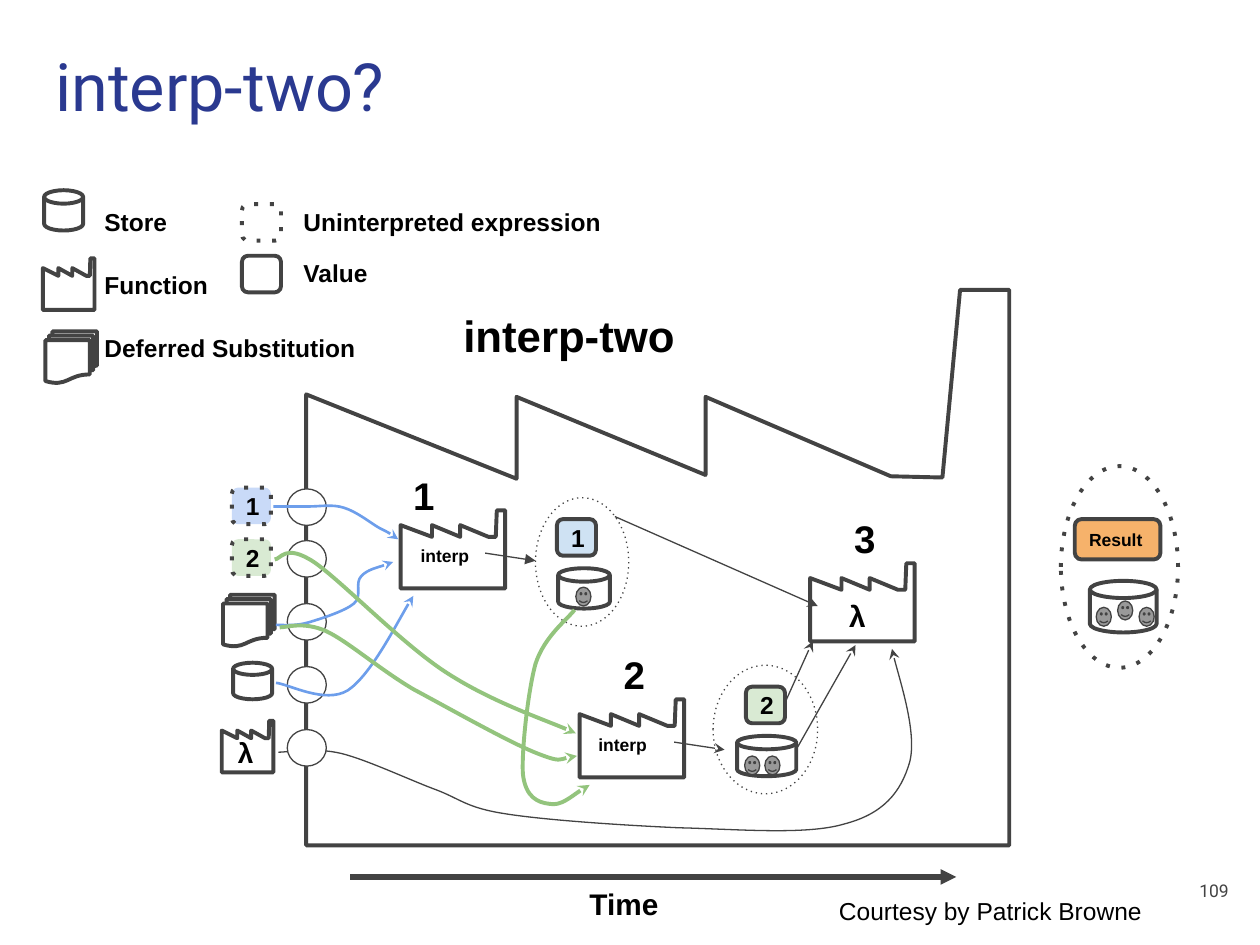
from lxml.etree import SubElement
from pptx import Presentation
from pptx.dml.color import RGBColor
from pptx.enum.shapes import MSO_CONNECTOR, MSO_SHAPE
from pptx.enum.text import MSO_ANCHOR, PP_ALIGN
from pptx.oxml.ns import qn
from pptx.util import Inches, Pt

INK, WHITE, GREY = "434343", "FFFFFF", "999999"
BLUE, GREEN = "6D9EEB", "93C47D"
DISK = MSO_SHAPE.FLOWCHART_MAGNETIC_DISK
BOX = MSO_SHAPE.FLOWCHART_ALTERNATE_PROCESS
PAPERS = MSO_SHAPE.FLOWCHART_MULTIDOCUMENT

FACTORY = [(0.92, 0), (1, 0), (1, 1), (0, 1), (0, 0.19), (0.3, 0.34),
           (0.3, 0.19), (0.57, 0.34), (0.57, 0.19), (0.84, 0.34), (0.91, 0.34)]
BIG_FACTORY = [(7.62, 2.3), (8.01, 2.3), (8.01, 6.71), (2.43, 6.71), (2.43, 3.13),
               (4.1, 3.8), (4.1, 3.15), (5.6, 3.77), (5.6, 3.15), (7.07, 3.78), (7.48, 3.79)]
SMALL_FACTORIES = [(0.34, 2.05, 0.41, 0.41), (1.76, 5.72, 0.41, 0.41),
                   (3.18, 4.05, 0.83, 0.62), (4.6, 5.55, 0.83, 0.62), (6.43, 4.47, 0.83, 0.62)]
PORT_TOPS = [3.88, 4.29, 4.79, 5.29, 5.79]

LAMBDA_FLOW = [(2.21, 5.97), (2.29, 5.97), (2.5, 5.93), (2.71, 5.98), (2.91, 6.03),
               (3.23, 6.18), (3.44, 6.26), (3.66, 6.34), (3.69, 6.41), (4.02, 6.46),
               (4.34, 6.51), (4.94, 6.55), (5.39, 6.57), (5.84, 6.58), (6.4, 6.63),
               (6.7, 6.54), (7.01, 6.46), (7.15, 6.29), (7.22, 6.05), (7.28, 5.82),
               (7.11, 5.3), (7.08, 5.15)]
INPUT_FLOWS = [
    (BLUE, 1.5, [(2.17, 4.02), (2.22, 4.02), (2.36, 4.02), (2.45, 4.02), (2.54, 4.02),
                 (2.64, 4), (2.73, 4.03), (2.83, 4.06), (2.94, 4.15), (3.01, 4.19),
                 (3.09, 4.23), (3.14, 4.26), (3.16, 4.28)]),
    (BLUE, 1.5, [(2.19, 4.96), (2.24, 4.96), (2.35, 4.97), (2.45, 4.94), (2.55, 4.91),
                 (2.74, 4.85), (2.81, 4.79), (2.88, 4.73), (2.81, 4.63), (2.87, 4.57),
                 (2.92, 4.52), (3.08, 4.48), (3.12, 4.46)]),
    (BLUE, 1.5, [(2.19, 5.42), (2.29, 5.43), (2.58, 5.59), (2.76, 5.48), (2.94, 5.36),
                 (3.2, 4.85), (3.28, 4.73)]),
    (GREEN, 2.25, [(2.18, 4.44), (2.23, 4.44), (2.26, 4.31), (2.49, 4.46), (2.71, 4.61),
                   (3.18, 5.1), (3.53, 5.33), (3.88, 5.56), (4.4, 5.74), (4.57, 5.82)]),
    (GREEN, 2.25, [(2.22, 4.98), (2.28, 4.98), (2.41, 4.93), (2.59, 5.01), (2.76, 5.09),
                   (3.01, 5.31), (3.28, 5.47), (3.56, 5.62), (4.02, 5.88), (4.24, 5.97),
                   (4.46, 6.06), (4.53, 6), (4.58, 6)]),
    (GREEN, 2.25, [(4.56, 4.84), (4.51, 4.91), (4.32, 5.05), (4.25, 5.27), (4.19, 5.49),
                   (4.14, 5.95), (4.15, 6.14), (4.17, 6.33), (4.27, 6.37), (4.36, 6.38),
                   (4.45, 6.4), (4.63, 6.25), (4.68, 6.23)]),
]
ARROWS = [
    ((3.85, 4.39), (4.25, 4.45), 0.75, "triangle"),
    ((5.35, 5.89), (5.75, 5.95), 0.75, "stealth"),
    ((4.88, 4.1), (6.49, 4.81), 0.75, "stealth"),
    ((6.22, 5.6), (6.45, 5.09), 0.75, "stealth"),
    ((6.33, 5.93), (6.79, 5.12), 0.75, "stealth"),
    ((2.78, 6.96), (7.59, 6.96), 3, "triangle"),
]
STORES = [(0.35, 1.51, 0.31, 0.32), (1.85, 5.26, 0.31, 0.29), (4.43, 4.51, 0.41, 0.32),
          (5.85, 5.84, 0.47, 0.32), (8.65, 4.61, 0.53, 0.41)]
SUBSTITUTIONS = [(0.36, 2.63, 0.41, 0.41), (1.77, 4.72, 0.41, 0.41)]
SMILEYS = [(4.57, 4.66), (6.07, 6), (5.91, 6), (8.87, 4.77), (8.7, 4.82), (9.04, 4.82)]
BUBBLES = [((4.25, 3.95, 0.74, 1.02), 0.75), ((5.66, 5.28, 0.83, 1.02), 0.75),
           ((8.42, 3.7, 0.93, 1.6), 2.25)]
EXPRESSIONS = [
    ("", (1.92, 1.62, 0.31, 0.29), WHITE, "dot", 14),
    ("", (1.92, 2.03, 0.31, 0.29), WHITE, None, 14),
    ("1", (1.84, 3.87, 0.31, 0.29), "C9DAF8", "dot", 14),
    ("2", (1.84, 4.28, 0.31, 0.29), "D9EAD3", "dot", 14),
    ("1", (4.42, 4.12, 0.31, 0.29), "CFE2F3", None, 14),
    ("2", (5.92, 5.45, 0.31, 0.29), "D9EAD3", None, 14),
    ("Result", (8.53, 4.12, 0.68, 0.32), "F6B26B", None, 10),
]
LABELS = [
    ("Store", (0.73, 1.54, 1.19, 0.29), 14),
    ("Function", (0.73, 2.04, 1.19, 0.29), 14),
    ("Deferred Substitution", (0.73, 2.54, 2.51, 0.29), 14),
    ("Uninterpreted expression", (2.31, 1.54, 3.53, 0.29), 14),
    ("Value", (2.31, 1.95, 2.51, 0.29), 14),
    ("λ", (1.79, 5.74, 0.31, 0.41), 16),
    ("interp", (3.24, 4.24, 0.61, 0.46), 10),
    ("interp", (4.65, 5.74, 0.61, 0.46), 10),
    ("λ", (6.64, 4.64, 0.45, 0.48), 17),
    ("1", (3.18, 3.65, 0.41, 0.57), 22),
    ("2", (4.85, 5.07, 0.41, 0.57), 22),
    ("3", (6.68, 3.99, 0.41, 0.57), 22),
    ("Time", (4.58, 6.93, 0.99, 0.5), 17),
]

deck = Presentation()
deck.slide_width, deck.slide_height = Inches(10), Inches(7.5)
shapes = deck.slides.add_slide(deck.slide_layouts[6]).shapes


def rgb(value):
    return RGBColor.from_string(value)


def outline(shape, color, width, dash=None, arrowhead=None):
    shape.line.color.rgb = rgb(color)
    shape.line.width = Pt(width)
    ln = shape._element.spPr.find(qn("a:ln"))
    if dash:
        SubElement(ln, qn("a:prstDash"), val=dash)
    if arrowhead:
        SubElement(ln, qn("a:tailEnd"), type=arrowhead)


def paint(shape, fill):
    shape.shadow.inherit = False
    if fill:
        shape.fill.solid()
        shape.fill.fore_color.rgb = rgb(fill)
    else:
        shape.fill.background()


def write(shape, text, size, bold=True, font="Arial", color="000000",
          align=PP_ALIGN.LEFT, anchor=MSO_ANCHOR.TOP):
    frame = shape.text_frame
    frame.text = text
    frame.word_wrap = True
    frame.vertical_anchor = anchor
    frame.margin_left = frame.margin_right = Inches(0.1)
    frame.margin_top = frame.margin_bottom = Inches(0.1)
    frame.paragraphs[0].alignment = align
    for run in frame.paragraphs[0].runs:
        run.font.size, run.font.bold, run.font.name = Pt(size), bold, font
        run.font.color.rgb = rgb(color)


def label(text, box, size, **style):
    write(shapes.add_textbox(*map(Inches, box)), text, size, **style)


def symbol(kind, box, fill=WHITE, width=2.25, dash=None):
    shape = shapes.add_shape(kind, *map(Inches, box))
    paint(shape, fill)
    outline(shape, INK, width, dash)
    return shape


def trace(points, close):
    start, *rest = [(Inches(x), Inches(y)) for x, y in points]
    builder = shapes.build_freeform(*start)
    builder.add_line_segments(rest, close=close)
    return builder.convert_to_shape()


def factory(points, fill):
    shape = trace(points, True)
    paint(shape, fill)
    outline(shape, INK, 2.25)


def flow(color, width, points):
    shape = trace(points, False)
    paint(shape, None)
    outline(shape, color, width, arrowhead="stealth")
    segments = list(shape._element.iter(qn("a:lnTo")))
    for i in range(0, len(segments), 3):
        curve = SubElement(segments[i].getparent(), qn("a:cubicBezTo"))
        for segment in segments[i:i + 3]:
            curve.append(segment[0])
            segment.getparent().remove(segment)


flow(INK, 0.75, LAMBDA_FLOW)
factory(BIG_FACTORY, None)
for top in PORT_TOPS:
    symbol(MSO_SHAPE.OVAL, (2.28, top, 0.31, 0.29), width=0.75)
for left, top, width, height in SMALL_FACTORIES:
    factory([(left + x * width, top + y * height) for x, y in FACTORY], WHITE)
for box in STORES:
    symbol(DISK, box)
for box in SUBSTITUTIONS:
    symbol(PAPERS, box)
for text, box, fill, dash, size in EXPRESSIONS:
    expression = symbol(BOX, box, fill, dash=dash)
    if text:
        write(expression, text, size, anchor=MSO_ANCHOR.MIDDLE)
for left, top in SMILEYS:
    symbol(MSO_SHAPE.SMILEY_FACE, (left, top, 0.12, 0.15), GREY, 0.75)
for box, width in BUBBLES:
    symbol(MSO_SHAPE.OVAL, box, None, width, "dot")
for color, width, points in INPUT_FLOWS:
    flow(color, width, points)
for start, end, width, arrowhead in ARROWS:
    arrow = shapes.add_connector(MSO_CONNECTOR.STRAIGHT, *map(Inches, start + end))
    outline(arrow, INK, width, arrowhead=arrowhead)
    SubElement(arrow._element.spPr, qn("a:effectLst"))
for text, box, size in LABELS:
    label(text, box, size)

label("interp-two", (3.39, 2.35, 2.25, 0.83), 25, align=PP_ALIGN.CENTER)
label("interp-two?", (0.34, 0.26, 9.32, 0.89), 38, bold=False, font="Roboto", color="2A3990")
label("Courtesy by Patrick Browne", (6.56, 7.01, 2.79, 0.41), 14, bold=False)
label("109", (9.25, 6.78, 0.6, 0.57), 10, bold=False, font="Roboto", color=INK,
      align=PP_ALIGN.RIGHT, anchor=MSO_ANCHOR.MIDDLE)

deck.save("out.pptx")
